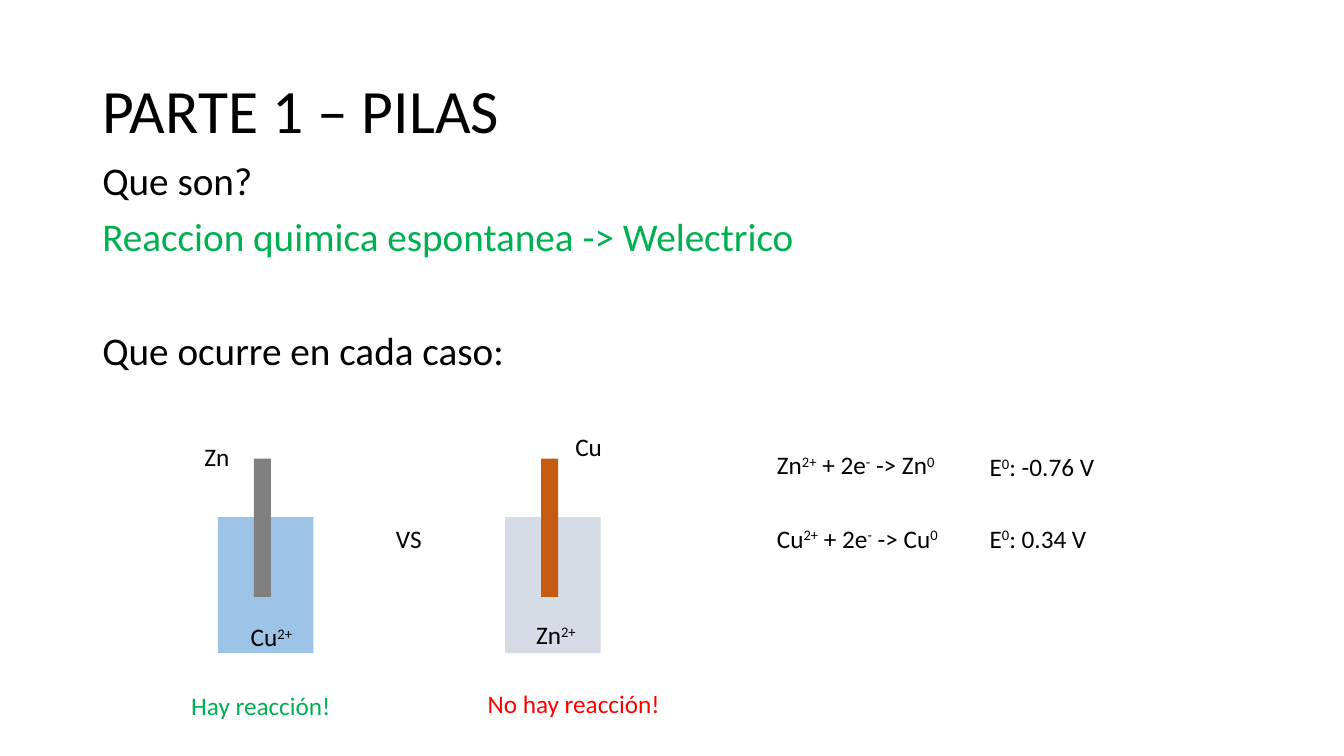
from dataclasses import dataclass

from pptx import Presentation
from pptx.dml.color import RGBColor
from pptx.enum.shapes import MSO_SHAPE
from pptx.enum.text import MSO_ANCHOR, MSO_AUTO_SIZE, PP_ALIGN
from pptx.util import Cm, Pt


@dataclass(frozen=True)
class Theme:
    font: str = "Calibri"
    title_size: int = 44
    body_size: int = 28
    label_size: int = 18
    black: str = "000000"
    green: str = "00B050"
    red: str = "FF0000"
    copper_solution: str = "9DC3E6"
    zinc_solution: str = "D6DCE5"
    zinc: str = "808080"
    copper: str = "C55A11"


THEME = Theme()
LABEL_HEIGHT = 1.02
TITLE_ONLY = 5


def set_all(target, values):
    for name, value in values.items():
        setattr(target, name, value)


def place(shape, left, top, width, height):
    set_all(shape, {"left": Cm(left), "top": Cm(top),
                    "width": Cm(width), "height": Cm(height)})


def write(para, text, size, color=THEME.black):
    """Add text to a paragraph; parts between ^ marks are superscript."""
    para.alignment = PP_ALIGN.LEFT
    for index, part in enumerate(text.split("^")):
        if not part:
            continue
        span = para.add_run()
        span.text = part
        set_all(span.font, {"name": THEME.font, "size": Pt(size)})
        span.font.color.rgb = RGBColor.from_string(color)
        if index % 2:
            span._r.get_or_add_rPr().set("baseline", "30000")


def add_title(page, text):
    title = page.shapes.title
    place(title, 2.33, 1.02, 29.21, 3.68)
    set_all(title.text_frame, {"vertical_anchor": MSO_ANCHOR.MIDDLE,
                               "auto_size": MSO_AUTO_SIZE.NONE,
                               "word_wrap": True})
    para = title.text_frame.paragraphs[0]
    para.line_spacing = 0.9
    write(para, text, THEME.title_size)


def add_body(page, lines):
    """Add the main text from (text, colour, points before) lines."""
    box = page.shapes.add_textbox(Cm(2.33), Cm(3.94), Cm(29.21), Cm(5.64))
    frame = box.text_frame
    frame.word_wrap = True
    for index, (text, color, gap) in enumerate(lines):
        para = frame.add_paragraph() if index else frame.paragraphs[0]
        set_all(para, {"line_spacing": 0.9, "space_before": Pt(gap)})
        write(para, text, THEME.body_size, color)


def add_label(page, text, left, top, width, color=THEME.black):
    box = page.shapes.add_textbox(Cm(left), Cm(top), Cm(width), Cm(LABEL_HEIGHT))
    set_all(box.text_frame, {"word_wrap": False,
                             "auto_size": MSO_AUTO_SIZE.SHAPE_TO_FIT_TEXT})
    write(box.text_frame.paragraphs[0], text, THEME.label_size, color)


def add_block(page, left, top, width, height, color):
    block = page.shapes.add_shape(MSO_SHAPE.RECTANGLE, Cm(left), Cm(top),
                                  Cm(width), Cm(height))
    block.shadow.inherit = False
    block.fill.solid()
    block.fill.fore_color.rgb = RGBColor.from_string(color)
    block.line.fill.background()


def add_cell(page, left, solution, metal):
    """Add a beaker of solution with a metal electrode dipped in it."""
    add_block(page, left, 13.03, 2.41, 3.43, solution)
    add_block(page, left + 0.91, 11.56, 0.43, 3.48, metal)


def main():
    deck = Presentation()
    set_all(deck, {"slide_width": Cm(33.87), "slide_height": Cm(19.05)})
    page = deck.slides.add_slide(deck.slide_layouts[TITLE_ONLY])

    add_title(page, "PARTE 1 – PILAS")
    add_body(page, [
        ("Que son?", THEME.black, 0),
        ("Reaccion quimica espontanea -> Welectrico", THEME.green, 10),
        ("Que ocurre en cada caso:", THEME.black, 51),
    ])

    add_cell(page, 5.49, THEME.copper_solution, THEME.zinc)
    add_cell(page, 12.73, THEME.zinc_solution, THEME.copper)

    for label in (
        ("Zn", 4.9, 11, 1.14),
        ("Cu^2+^", 6.07, 15.54, 1.63),
        ("Zn^2+^", 13.26, 15.49, 1.57),
        ("Cu", 14.25, 10.74, 1.19),
        ("VS", 9.73, 13.06, 1.17),
        ("Zn^2+^ + 2e^-^ -> Zn^0^", 19.33, 11.2, 4.65),
        ("Cu^2+^ + 2e^-^ -> Cu^0^", 19.33, 13.06, 4.72),
        ("E^0^: -0.76 V", 24.69, 11.25, 3.2),
        ("E^0^: 0.34 V", 24.69, 13.06, 3),
        ("Hay reacción!", 4.57, 17.27, 4.06, THEME.green),
        ("No hay reacción!", 12.04, 17.22, 4.9, THEME.red),
    ):
        add_label(page, *label)

    deck.save("out.pptx")


if __name__ == "__main__":
    main()
